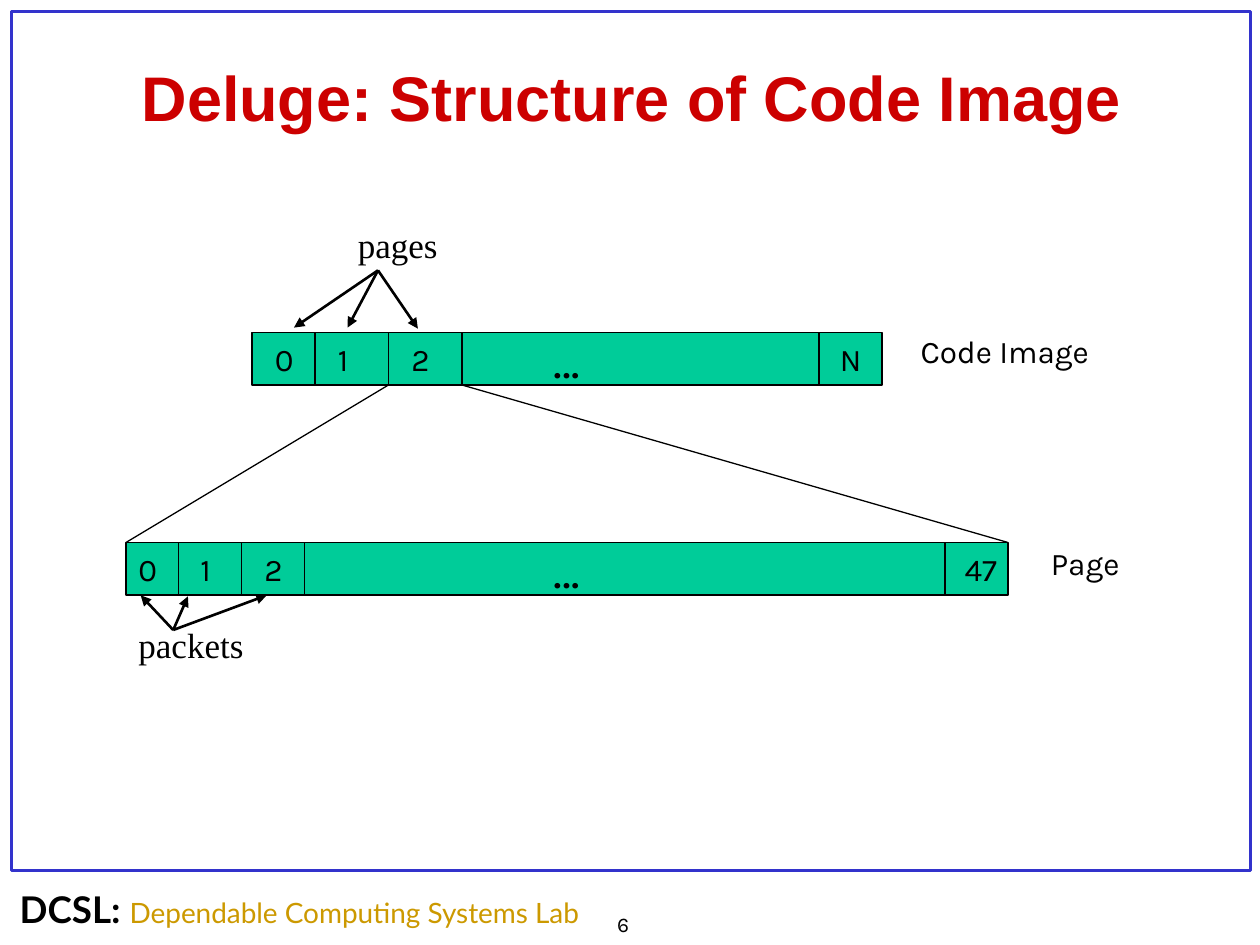
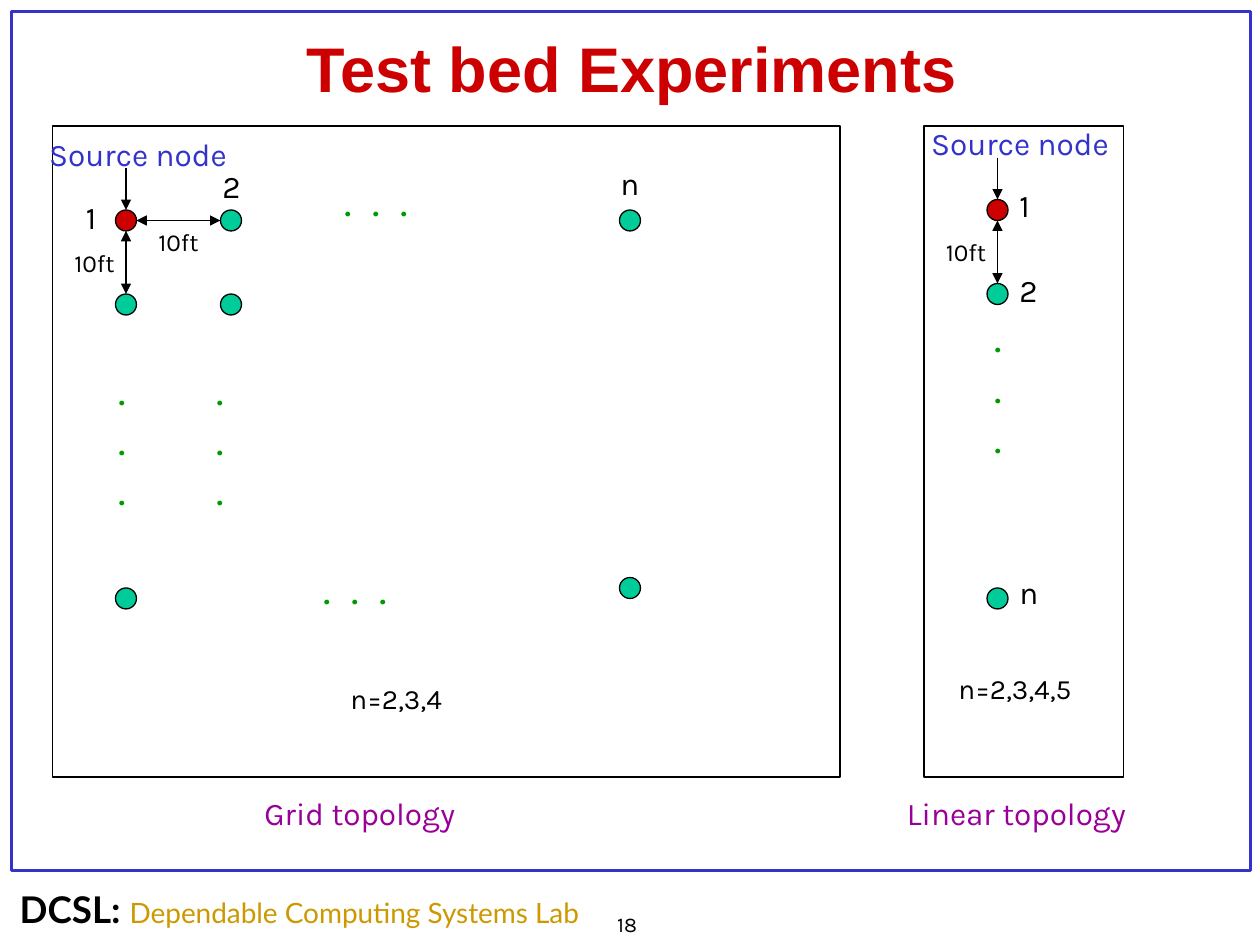
from dataclasses import dataclass

from lxml import etree
from pptx import Presentation
from pptx.dml.color import RGBColor
from pptx.enum.shapes import MSO_CONNECTOR, MSO_SHAPE
from pptx.enum.text import MSO_ANCHOR, MSO_AUTO_SIZE, PP_ALIGN
from pptx.oxml.ns import qn
from pptx.util import Emu, Inches, Pt

STRAIGHT = MSO_CONNECTOR.STRAIGHT
RECTANGLE, OVAL = MSO_SHAPE.RECTANGLE, MSO_SHAPE.OVAL
MIDDLE, CENTER = MSO_ANCHOR.MIDDLE, PP_ALIGN.CENTER
FIT_SHAPE, NO_FIT = MSO_AUTO_SIZE.SHAPE_TO_FIT_TEXT, MSO_AUTO_SIZE.NONE

COLORS = {
    "black": "000000",
    "border": "3333CC",
    "red": "CC0000",
    "green": "00CC99",
    "dots": "009900",
    "caption": "990099",
    "gold": "CC9900",
}
SLIDE_WIDTH, SLIDE_HEIGHT = Inches(10), Inches(7.5)
COLUMNS = 120
CELL = SLIDE_WIDTH / COLUMNS  # square cells, so the slide is also 90 rows high
TITLE_ONLY = 5
NODE_RADIUS = 1
BAR_HEIGHT = 5
DOT_SIZE = 24
DOT_SPACING = 300  # hundredths of a point

Point = tuple[float, float]
Box = tuple[float, float, float, float]


@dataclass(frozen=True)
class Label:
    text: str
    left: float
    top: float
    width: float
    size: float = 18
    color: str = "black"
    font: str = "Karla"


@dataclass(frozen=True)
class Bar:
    left: float
    top: float
    width: float
    dividers: tuple[float, ...]
    labels: tuple[tuple[str, float, float], ...]  # text, left, width

    @property
    def right(self) -> float:
        return self.left + self.width

    @property
    def bottom(self) -> float:
        return self.top + BAR_HEIGHT


@dataclass(frozen=True)
class Fan:
    """Arrows that spread from one point to several tips."""
    start: Point
    tips: tuple[Point, ...]


@dataclass(frozen=True)
class Topology:
    frame: Box
    nodes: tuple[Point, ...]  # the source node comes first
    below: Point
    labels: tuple[Label, ...]


def grid(value: float) -> Emu:
    return Emu(round(value * CELL))


def rgb(name: str) -> RGBColor:
    return RGBColor.from_string(COLORS[name])


def apply_format(target, values: dict) -> None:
    for name, value in values.items():
        setattr(target, name, value)


def format_run(run, size: float, color: str, font: str, bold: bool = False) -> None:
    apply_format(run.font, {"size": Pt(size), "name": font, "bold": bold})
    run.font.color.rgb = rgb(color)


def add_outlined(slide, kind, box: Box, fill: str = "", line: str = "black",
                 weight: float = 0.75):
    shape = slide.shapes.add_shape(kind, *map(grid, box))
    shape.shadow.inherit = False
    if fill:
        shape.fill.solid()
        shape.fill.fore_color.rgb = rgb(fill)
    else:
        shape.fill.background()
    shape.line.color.rgb = rgb(line)
    shape.line.width = Pt(weight)
    return shape


def add_line(slide, start: Point, end: Point, weight: float = 0.75,
             arrows: tuple[str, ...] = ()) -> None:
    """Draw a line; arrows names its pointed ends, headEnd before tailEnd."""
    connector = slide.shapes.add_connector(STRAIGHT, *map(grid, start + end))
    connector.line.color.rgb = rgb("black")
    connector.line.width = Pt(weight)
    properties = connector._element.spPr
    for arrow in arrows:
        etree.SubElement(properties.find(qn("a:ln")), qn(f"a:{arrow}"), type="triangle")
    etree.SubElement(properties, qn("a:effectLst"))


def add_label(slide, label: Label):
    lines = label.text.split("\n")
    height = Pt(label.size * 1.2 * len(lines)) + Inches(0.1)
    box = slide.shapes.add_textbox(grid(label.left), grid(label.top),
                                   grid(label.width), height)
    frame = box.text_frame
    apply_format(frame, {"text": label.text, "word_wrap": False, "auto_size": FIT_SHAPE})
    for paragraph in frame.paragraphs:
        format_run(paragraph.runs[0], label.size, label.color, label.font)
    return box


def add_base_slide(presentation, title: str, title_top: float, title_height: float,
                   number: str):
    """Add a slide with its title, border, lab name and page number."""
    slide = presentation.slides.add_slide(presentation.slide_layouts[TITLE_ONLY])
    add_outlined(slide, RECTANGLE, (1.1, 1.1, 118, 81.8), line="border", weight=1.5)

    footer = slide.shapes.add_textbox(*map(grid, (0.7, 84.7, 58.7, 7.2)))
    footer.text_frame.word_wrap = True
    paragraph = footer.text_frame.paragraphs[0]
    paragraph.line_spacing = 0.8
    for text, size, color, bold in (
        ("DCSL: ", 21, "black", True),
        ("Dependable Computing Systems Lab", 16, "gold", False),
    ):
        run = paragraph.add_run()
        run.text = text
        format_run(run, size, color, "Lato", bold)
    add_label(slide, Label(number, 57.6, 86.2, 12.2, size=12))

    heading = slide.shapes.title
    apply_format(heading, {"left": grid(2.9), "top": grid(title_top),
                           "width": grid(114.5), "height": grid(title_height)})
    apply_format(heading.text_frame, {"text": title, "vertical_anchor": MIDDLE,
                                      "word_wrap": True, "auto_size": NO_FIT})
    paragraph = heading.text_frame.paragraphs[0]
    paragraph.alignment = CENTER
    format_run(paragraph.runs[0], 36, "red", "Arial", True)
    return slide


def add_bar(slide, bar: Bar) -> None:
    shape = add_outlined(slide, RECTANGLE, (bar.left, bar.top, bar.width, BAR_HEIGHT),
                         "green")
    apply_format(shape.text_frame, {"text": "…", "word_wrap": False,
                                    "vertical_anchor": MIDDLE})
    paragraph = shape.text_frame.paragraphs[0]
    paragraph.alignment = CENTER
    format_run(paragraph.runs[0], 28, "black", "Karla")
    for column in bar.dividers:
        add_line(slide, (column, bar.top), (column, bar.bottom))
    for text, left, width in bar.labels:
        add_label(slide, Label(text, left, bar.top + 0.15, width))


def add_topology(slide, topology: Topology) -> None:
    add_outlined(slide, RECTANGLE, topology.frame)
    for index, (column, row) in enumerate(topology.nodes):
        box = (column - NODE_RADIUS, row - NODE_RADIUS, 2 * NODE_RADIUS, 2 * NODE_RADIUS)
        add_outlined(slide, OVAL, box, "green" if index else "red")
    column, row = topology.nodes[0]
    add_line(slide, (column, row - 5), (column, row - NODE_RADIUS), arrows=("tailEnd",))
    add_line(slide, (column, row + NODE_RADIUS),
             (topology.below[0], topology.below[1] - NODE_RADIUS),
             arrows=("headEnd", "tailEnd"))
    add_label(slide, Label("10ft", column - 6.1, row + 2, 6.7, size=14))
    for label in topology.labels:
        add_label(slide, label)


def add_dots(slide, left: float, top: float, vertical: bool) -> None:
    text, width = (".\n.\n.", 3.5) if vertical else (". . .", 9.7)
    box = add_label(slide, Label(text, left, top, width, DOT_SIZE, "dots"))
    if not vertical:
        run = box.text_frame.paragraphs[0].runs[0]
        run.font._element.set("spc", str(DOT_SPACING))


def build_code_image_slide(presentation) -> None:
    slide = add_base_slide(presentation, "Deluge: Structure of Code Image", 6.4, 5.6, "6")
    code_image = Bar(24, 31.67, 60, (30, 37, 44, 78),
                     (("0", 25, 4.1), ("1", 31, 4.1), ("2", 38, 4.1), ("N", 78.8, 4.7)))
    page = Bar(12, 51.67, 84, (17, 23, 29, 90),
               (("0", 12, 4.1), ("1", 17.9, 4.1), ("2", 24, 4.1), ("47", 90.7, 5.8)))
    for bar in (code_image, page):
        add_bar(slide, bar)
    for column, corner in zip(code_image.dividers[1:3], (page.left, page.right)):
        add_line(slide, (column, code_image.bottom), (corner, page.top))

    for fan in (
        Fan((36, 25.75), ((28, 31.2), (33.1, 31.2), (39.8, 31.3))),
        Fan((16.5, 60), ((13.4, 56.7), (17.9, 56.8), (25.4, 56.7))),
    ):
        for tip in fan.tips:
            add_line(slide, fan.start, tip, 1.5, ("tailEnd",))
    for label in (
        Label("pages", 32.9, 20.7, 10, 20, font="Times New Roman"),
        Label("packets", 12, 58.8, 12.4, 20, font="Times New Roman"),
        Label("Code Image", 86.5, 31, 19.4),
        Label("Page", 98.9, 51.2, 9.4),
    ):
        add_label(slide, label)


def build_test_bed_slide(presentation) -> None:
    slide = add_base_slide(presentation, "Test bed Experiments", 2.9, 7, "18")
    grid_topology = Topology(
        frame=(5, 12, 75, 62),
        nodes=((12, 21), (22, 21), (60, 21), (12, 29), (22, 29), (12, 57), (60, 56)),
        below=(12, 29),
        labels=(
            Label("Source node", 3.5, 12.3, 20, color="border"),
            Label("1", 7, 18.3, 4.1),
            Label("2", 20, 15.3, 4.1),
            Label("n", 57.9, 15, 4.2),
            Label("10ft", 13.9, 21, 6.7, size=14),
            Label("n=2,3,4", 32.2, 64.3, 11.5, size=16),
            Label("Grid topology", 24, 75, 21.7, color="caption"),
        ),
    )
    linear_topology = Topology(
        frame=(88, 12, 19, 62),
        nodes=((95, 20), (95, 28), (95, 57)),
        below=(95, 28),
        labels=(
            Label("Source node", 87.5, 11.2, 20, color="border"),
            Label("1", 95.9, 17.1, 4.1),
            Label("2", 95.9, 25.2, 4.1),
            Label("n", 95.9, 54, 4.2),
            Label("n=2,3,4,5", 90.1, 63.4, 13.8, size=16),
            Label("Linear topology", 85.2, 75, 24.5, color="caption"),
        ),
    )
    for topology in (grid_topology, linear_topology):
        add_topology(slide, topology)
    add_line(slide, (12 + NODE_RADIUS, 21), (22 - NODE_RADIUS, 21),
             arrows=("headEnd", "tailEnd"))
    for left, top, vertical in (
        (31.6, 16, False), (29.6, 53, False),
        (10.1, 34, True), (19.4, 34, True), (93.5, 29, True),
    ):
        add_dots(slide, left, top, vertical)


def main() -> None:
    presentation = Presentation()
    apply_format(presentation, {"slide_width": SLIDE_WIDTH, "slide_height": SLIDE_HEIGHT})
    build_code_image_slide(presentation)
    build_test_bed_slide(presentation)
    presentation.save("out.pptx")


if __name__ == "__main__":
    main()
